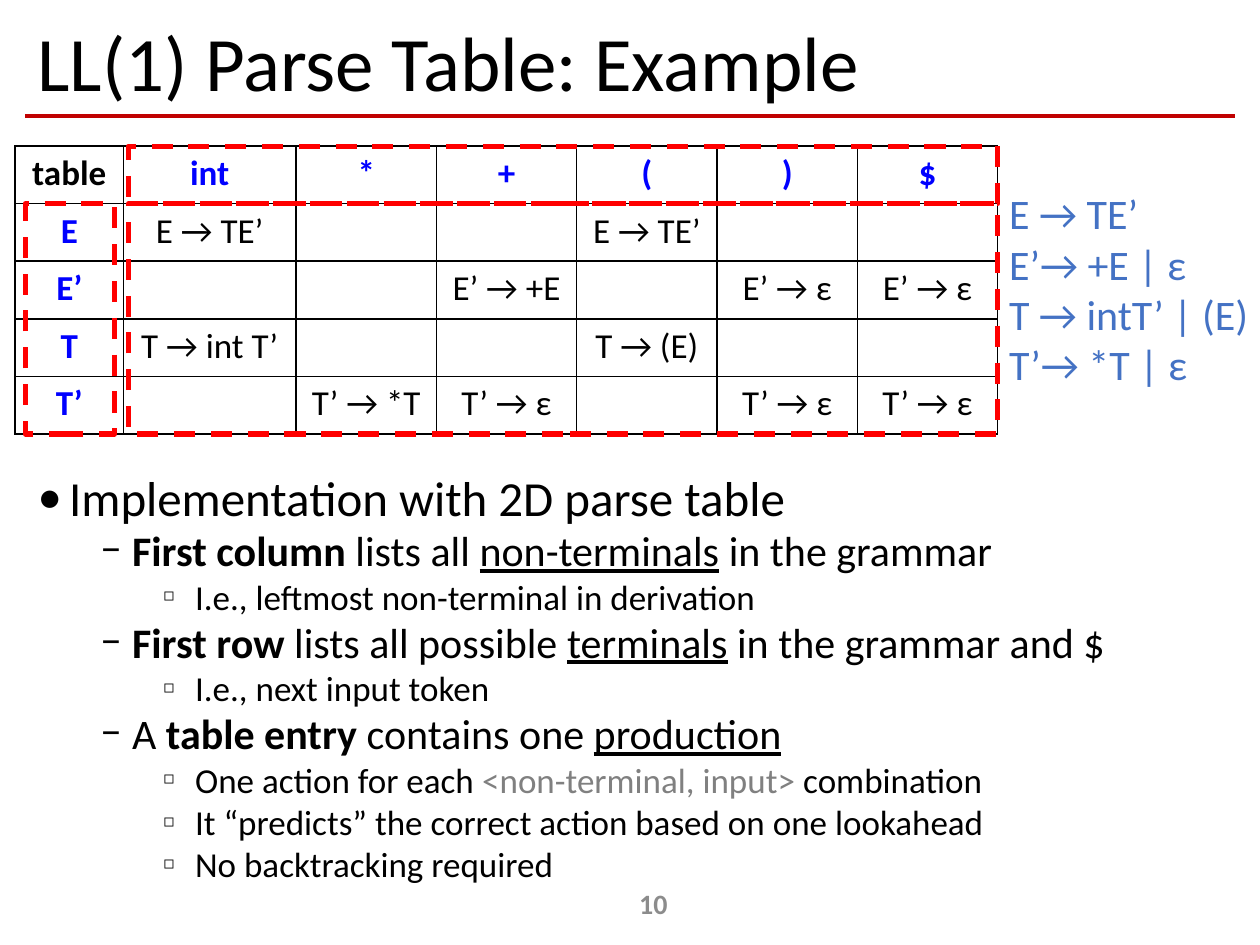
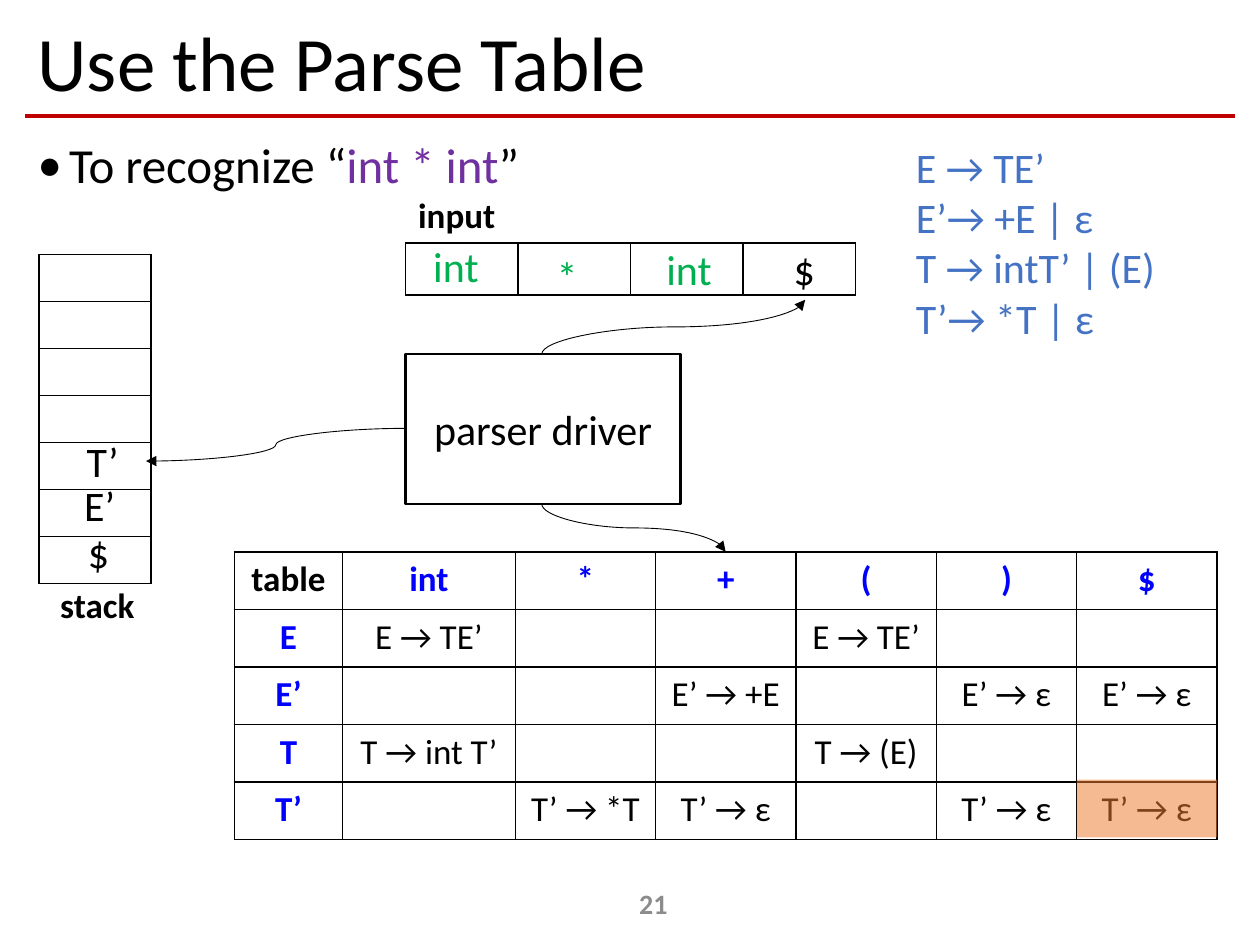
"""Build two slides about LL(1) parse tables."""
from lxml import etree
from pptx import Presentation
from pptx.dml.color import RGBColor
from pptx.enum.dml import MSO_LINE
from pptx.enum.shapes import MSO_CONNECTOR, MSO_SHAPE
from pptx.enum.text import MSO_ANCHOR, MSO_AUTO_SIZE, PP_ALIGN
from pptx.oxml.ns import qn
from pptx.util import Inches, Pt

RECTANGLE = MSO_SHAPE.RECTANGLE
STRAIGHT, CURVE = MSO_CONNECTOR.STRAIGHT, MSO_CONNECTOR.CURVE
LEFT, CENTER = PP_ALIGN.LEFT, PP_ALIGN.CENTER
TOP, MIDDLE = MSO_ANCHOR.TOP, MSO_ANCHOR.MIDDLE
GROW, FIXED = MSO_AUTO_SIZE.SHAPE_TO_FIT_TEXT, MSO_AUTO_SIZE.NONE
DASH = MSO_LINE.DASH

SLIDE_W, SLIDE_H = Inches(10), Inches(7.5)
COLUMN, ROW = SLIDE_W / 10, SLIDE_H / 7.5
FONT = "Calibri"
BLACK, BLUE, RED, GREEN = "000000", "0000FF", "FF0000", "00B050"
RULE_RED, GRAMMAR_BLUE, PURPLE = "C00000", "4472C4", "7030A0"
GRAY, PAGE_GRAY, ORANGE = "808080", "8C8C8C", "ED7D31"

BOLD, UNDERLINE = {"bold": True}, {"underline": True}
BULLETS = [
    {"mark": "•", "size": 28, "indent": 0.25, "before": 10, "scale": 100},
    {"mark": "−", "size": 24, "indent": 0.75, "before": 5, "scale": 100},
    {"mark": "◻", "size": 20, "indent": 1.25, "before": 5, "scale": 50},
]
GRAMMAR = ["E → TE’", "E’→ +E | ε", "T → intT’ | (E)", "T’→ *T | ε"]
PARSE_TABLE = [
    ["table", "int", "*", "+", "(", ")", "$"],
    ["E", "E → TE’", "", "", "E → TE’", "", ""],
    ["E’", "", "", "E’ → +E", "", "E’ → ε", "E’ → ε"],
    ["T", "T → int T’", "", "", "T → (E)", "", ""],
    ["T’", "", "T’ → *T", "T’ → ε", "", "T’ → ε", "T’ → ε"],
]
PARSE_COLUMNS = [0.86, 1.37] + [(7.8 - 0.86 - 1.37) / 5] * 5
PARSE_ROW = 0.457
IMPLEMENTATION = [
    (0, [("Implementation with 2D parse table", {})]),
    (1, [("First column ", BOLD), ("lists all ", {}),
         ("non-terminals", UNDERLINE), (" in the grammar", {})]),
    (2, [("I.e., leftmost non-terminal in derivation", {})]),
    (1, [("First row", BOLD), (" lists all possible ", {}),
         ("terminals", UNDERLINE), (" in the grammar and $", {})]),
    (2, [("I.e., next input token", {})]),
    (1, [("A ", {}), ("table entry", BOLD), (" contains one ", {}),
         ("production", UNDERLINE)]),
    (2, [("One action for each ", {}),
         ("<non-terminal, input>", {"color": GRAY}), (" combination", {})]),
    (2, [("It “predicts” the correct action based on one lookahead", {})]),
    (2, [("No backtracking required", {})]),
]
RECOGNIZE = [(0, [("To recognize “", {}), ("int * int", {"color": PURPLE}),
                  ("”", {})])]


def rgb(color):
    """Turn a hex string into a colour."""
    return RGBColor.from_string(color)


def grid(*lengths):
    """Turn alternating column and row counts into slide lengths."""
    return [int(length * (ROW if i % 2 else COLUMN))
            for i, length in enumerate(lengths)]


def apply(target, values):
    """Set each named attribute of the target."""
    for name, value in values.items():
        setattr(target, name, value)


def write(paragraph, text, size, color=BLACK, **looks):
    """Add a run with the deck font."""
    run = paragraph.add_run()
    run.text = text
    apply(run.font, {"name": FONT, "size": Pt(size), **looks})
    run.font.color.rgb = rgb(color)


def add_text(slide, place, lines, size, color=BLACK, align=LEFT, anchor=TOP,
             grow=False, spacing=1.0, **looks):
    """Add a text box with one paragraph per line."""
    frame = slide.shapes.add_textbox(*grid(*place)).text_frame
    apply(frame, {"word_wrap": not grow, "vertical_anchor": anchor,
                  "auto_size": GROW if grow else FIXED})
    for i, line in enumerate(lines):
        paragraph = frame.add_paragraph() if i else frame.paragraphs[0]
        apply(paragraph, {"alignment": align, "line_spacing": spacing})
        write(paragraph, line, size, color, **looks)


def add_label(slide, left, top, width, text, size=24, height=0.5, **looks):
    """Add a one-line label that fits its text."""
    add_text(slide, (left, top, width, height), [text], size, grow=True, **looks)


def add_bullets(slide, place, items, spacing):
    """Add a bulleted outline from levels and runs."""
    frame = slide.shapes.add_textbox(*grid(*place)).text_frame
    frame.word_wrap = True
    for i, (level, runs) in enumerate(items):
        bullet = BULLETS[level]
        paragraph = frame.add_paragraph() if i else frame.paragraphs[0]
        apply(paragraph, {"level": level, "line_spacing": spacing,
                          "space_before": Pt(bullet["before"])})
        props = paragraph._p.get_or_add_pPr()
        props.set("marL", str(Inches(bullet["indent"])))
        props.set("indent", str(Inches(-0.25)))
        for tag, key, value in (("a:buSzPct", "val", str(bullet["scale"] * 1000)),
                                ("a:buFont", "typeface", FONT),
                                ("a:buChar", "char", bullet["mark"])):
            etree.SubElement(props, qn(tag)).set(key, value)
        for text, looks in runs:
            write(paragraph, text, bullet["size"], **looks)


def add_line(slide, kind, start, end, color, width):
    """Add a connector without a shadow."""
    line = slide.shapes.add_connector(kind, *grid(*start), *grid(*end))
    line.line.color.rgb = rgb(color)
    line.line.width = Pt(width)
    etree.SubElement(line.element.spPr, qn("a:effectLst"))
    return line


def add_curved_arrow(slide, start, end, upright=False):
    """Add a curved arrow that leaves sideways, or upright when asked."""
    turn = 0
    if upright:
        middle_x, middle_y = (start[0] + end[0]) / 2, (start[1] + end[1]) / 2
        sign = 1 if end[1] < start[1] else -1
        across = sign * (start[1] - middle_y)
        down = sign * (middle_x - start[0])
        start = (middle_x + across, middle_y + down)
        end = (middle_x - across, middle_y - down)
        turn = 90 if sign > 0 else 270
    arrow = add_line(slide, CURVE, start, end, BLACK, 0.5)
    if turn:
        arrow.element.spPr.find(qn("a:xfrm")).set("rot", str(turn * 60000))
    outline = arrow.line._get_or_add_ln()
    etree.SubElement(outline, qn("a:tailEnd")).set("type", "triangle")


def add_box(slide, place, line=None, width=1.0, dash=None, fill=None, alpha=100):
    """Add a rectangle with an optional outline and see-through fill."""
    box = slide.shapes.add_shape(RECTANGLE, *grid(*place))
    box.shadow.inherit = False
    if fill:
        box.fill.solid()
        box.fill.fore_color.rgb = rgb(fill)
        tint = box.element.spPr.find(qn("a:solidFill"))[0]
        etree.SubElement(tint, qn("a:alpha")).set("val", str(alpha * 1000))
    else:
        box.fill.background()
    if line:
        box.line.color.rgb = rgb(line)
        apply(box.line, {"width": Pt(width), "dash_style": dash})
    else:
        box.line.fill.background()
    return box


def add_borders(cell):
    """Draw a thin black line on each side of a cell."""
    props = cell._tc.get_or_add_tcPr()
    for i, side in enumerate(("a:lnL", "a:lnR", "a:lnT", "a:lnB")):
        border = etree.Element(qn(side), w=str(Pt(1)))
        fill = etree.SubElement(border, qn("a:solidFill"))
        etree.SubElement(fill, qn("a:srgbClr")).set("val", BLACK)
        props.insert(i, border)


def add_grid_table(slide, left, top, widths, height, count):
    """Add an unfilled table with ruled cells."""
    place = grid(left, top, sum(widths), height * count)
    table = slide.shapes.add_table(count, len(widths), *place).table
    apply(table, {"first_row": False, "horz_banding": False})
    for column, width in zip(table.columns, widths):
        column.width = int(width * COLUMN)
    for row in table.rows:
        row.height = int(height * ROW)
        for cell in row.cells:
            cell.fill.background()
            add_borders(cell)
    return table


def add_slots(slide, left, top, widths, height, count):
    """Add a table of empty slots."""
    for cell in add_grid_table(slide, left, top, widths, height, count).iter_cells():
        apply(cell, {"margin_top": 0, "margin_bottom": 0})


def add_parse_table(slide, left, top):
    """Add the LL(1) table with its headings in bold blue."""
    table = add_grid_table(slide, left, top, PARSE_COLUMNS, PARSE_ROW,
                           len(PARSE_TABLE))
    for r, entries in enumerate(PARSE_TABLE):
        for c, entry in enumerate(entries):
            if entry:
                paragraph = table.cell(r, c).text_frame.paragraphs[0]
                paragraph.alignment = CENTER
                heading = r == 0 or c == 0
                color = BLUE if heading and r + c else BLACK
                write(paragraph, entry, 20, color, bold=heading)


def add_grammar(slide, left, top):
    """List the grammar's productions."""
    add_text(slide, (left, top, 2.12, 1.72), GRAMMAR, 24, GRAMMAR_BLUE, grow=True)


def add_framed_slide(deck, title, number):
    """Add a slide with its title, red rule and page number."""
    slide = deck.slides.add_slide(deck.slide_layouts[6])
    add_line(slide, STRAIGHT, (0.2, 0.92), (9.8, 0.92), RULE_RED, 2.5)
    add_text(slide, (0.2, 0.13, 9.61, 0.79), [title], 44, anchor=MIDDLE,
             spacing=0.9)
    add_text(slide, (4.06, 6.97, 2.25, 0.4), [str(number)], 16, PAGE_GRAY,
             CENTER, MIDDLE, bold=True)
    return slide


def build_example(deck):
    """Show the parse table with its parts marked."""
    slide = add_framed_slide(deck, "LL(1) Parse Table: Example", 10)
    left, top = 0.12, 1.16
    add_bullets(slide, (0.2, 3.75, 9.61, 3.2), IMPLEMENTATION, 0.8)
    add_parse_table(slide, left, top)
    entries_left, entries_top = 1.02, top + PARSE_ROW
    entries_width, entries_height = 6.9, PARSE_ROW * 4
    for place in ((0.2, entries_top, 0.71, entries_height),
                  (entries_left, top, entries_width, PARSE_ROW),
                  (entries_left, entries_top, entries_width, entries_height)):
        add_box(slide, place, RED, 3, DASH)
    add_grammar(slide, 7.91, 1.44)


def build_use(deck):
    """Show the driver reading the input, the stack and the table."""
    slide = add_framed_slide(deck, "Use the Parse Table", 21)
    add_bullets(slide, (0.2, 1.07, 6.9, 0.6), RECOGNIZE, 0.9)
    left, top = 1.86, 4.38
    add_parse_table(slide, left, top)
    add_slots(slide, 0.31, 2.02, [0.89], 2.61 / 7, 7)
    add_slots(slide, 3.22, 1.93, [3.57 / 4] * 4, 0.41, 1)
    add_label(slide, 0.38, 4.58, 0.8, "stack", 20, 0.44, bold=True)
    add_label(slide, 3.22, 1.49, 0.82, "input", 20, 0.44, bold=True)
    for x, y, width, symbol in ((0.59, 3.41, 0.46, "T’"), (0.57, 3.76, 0.45, "E’"),
                                (0.6, 4.13, 0.37, "$"), (6.2, 1.88, 0.37, "$")):
        add_label(slide, x, y, width, symbol)
    for x, y, width, token in ((3.34, 1.86, 0.57, "int"), (4.32, 1.94, 0.37, "*"),
                               (5.19, 1.88, 0.57, "int")):
        add_label(slide, x, y, width, token, color=GREEN)
    driver = add_box(slide, (3.22, 2.81, 2.18, 1.19), BLACK, 1.5)
    driver.text_frame.vertical_anchor = MIDDLE
    caption = driver.text_frame.paragraphs[0]
    caption.alignment = CENTER
    write(caption, "parser driver", 24)
    add_curved_arrow(slide, (4.3, 2.81), (6.39, 2.38), upright=True)
    add_curved_arrow(slide, (3.22, 3.4), (1.16, 3.66))
    add_curved_arrow(slide, (4.3, 4), (5.76, top), upright=True)
    last = PARSE_COLUMNS[-1]
    add_box(slide, (left + sum(PARSE_COLUMNS) - last, top + 4 * PARSE_ROW - 0.02,
                    last, PARSE_ROW), fill=ORANGE, alpha=53)
    add_grammar(slide, 7.17, 1.07)


def main():
    """Build and save the deck."""
    deck = Presentation()
    apply(deck, {"slide_width": SLIDE_W, "slide_height": SLIDE_H})
    build_example(deck)
    build_use(deck)
    deck.save("out.pptx")


if __name__ == "__main__":
    main()
